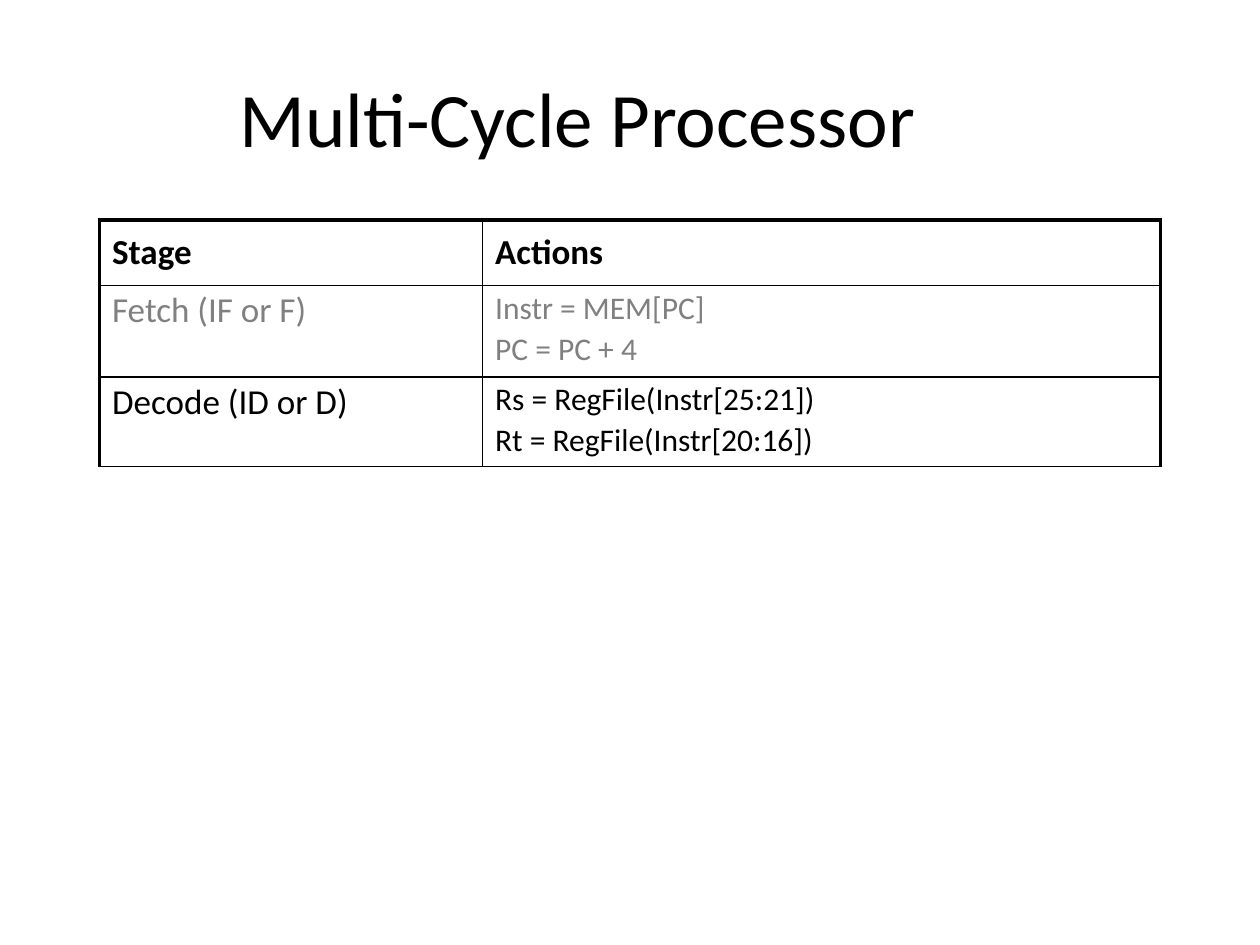
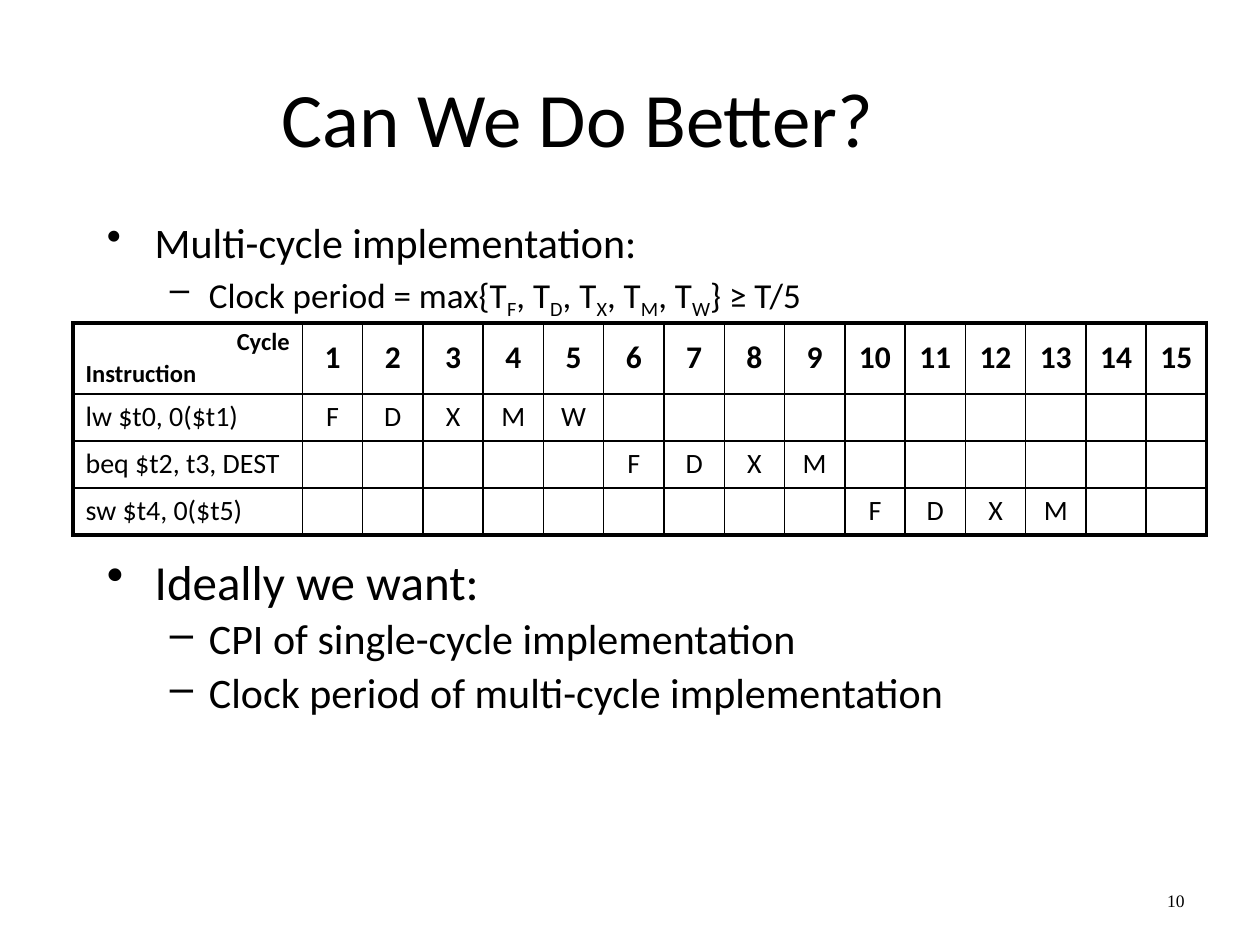
from lxml.etree import SubElement
from pptx import Presentation
from pptx.dml.color import RGBColor
from pptx.enum.text import MSO_ANCHOR, PP_ALIGN
from pptx.oxml.ns import qn
from pptx.util import Emu, Inches, Pt

COLORS = {"text": "000000", "muted": "808080", "paper": "FFFFFF", "rule": "000000"}
FONT = "Calibri"
NUMBER_FONT = "Times New Roman"
WIDTH, HEIGHT = Inches(10), Inches(7.5)
THIN, THICK = Pt(1), Pt(2.25)
STAGES = "FDXMW"
CYCLES = 15

# Bullet style per level: character, text indent, hanging indent, line spacing
BULLETS = [("•", 0.38, 0.38, 0.8), ("–", 0.81, 0.31, 0.9)]


def across(share):
    return Emu(round(WIDTH * share))


def down(share):
    return Emu(round(HEIGHT * share))


# Text
def add_run(paragraph, text, size, color="text", bold=False, font=FONT, subscript=False):
    run = paragraph.add_run()
    run.text = text
    run.font.name = font
    run.font.size = Pt(size)
    run.font.bold = bold
    run.font.color.rgb = RGBColor.from_string(COLORS[color])
    if subscript:
        run.font._element.set("baseline", "-25000")


def next_paragraph(text_frame, index, size, line_spacing=0.9):
    """Return the paragraph at index, spaced by a fifth of its text size."""
    paragraph = text_frame.add_paragraph() if index else text_frame.paragraphs[0]
    paragraph.line_spacing = line_spacing
    paragraph.space_before = Pt(size * 0.2 if index else 0)
    return paragraph


def add_title_slide(presentation, title):
    slide = presentation.slides.add_slide(presentation.slide_layouts[5])
    shape = slide.shapes.title
    shape.left, shape.top = across(0.05), down(0.04)
    shape.width, shape.height = across(0.817), down(0.167)
    shape.text_frame.vertical_anchor = MSO_ANCHOR.MIDDLE
    paragraph = shape.text_frame.paragraphs[0]
    paragraph.alignment = PP_ALIGN.CENTER
    add_run(paragraph, title, 44)
    return slide


def add_text_box(slide, left, top, width, height):
    shape = slide.shapes.add_textbox(across(left), down(top), across(width), down(height))
    shape.text_frame.word_wrap = True
    return shape.text_frame


def add_bullets(slide, top, height, items):
    """Each item is (level, size, [(text, is_subscript), ...])."""
    text_frame = add_text_box(slide, 0.075, top, 0.917, height)
    for index, (level, size, pieces) in enumerate(items):
        character, indent, hanging, spacing = BULLETS[level]
        paragraph = next_paragraph(text_frame, index, size, spacing)
        paragraph.level = level
        properties = paragraph._p.get_or_add_pPr()
        properties.set("marL", str(Inches(indent)))
        properties.set("indent", str(-Inches(hanging)))
        SubElement(properties, qn("a:buChar"), char=character)
        for text, subscript in pieces:
            add_run(paragraph, text, size, subscript=subscript)


def add_slide_number(slide, number):
    text_frame = add_text_box(slide, 0.833, 0.927, 0.117, 0.053)
    text_frame.vertical_anchor = MSO_ANCHOR.MIDDLE
    paragraph = text_frame.paragraphs[0]
    paragraph.alignment = PP_ALIGN.RIGHT
    add_run(paragraph, number, 10, font=NUMBER_FONT)


# Tables
def set_borders(cell, widths):
    properties = cell._tc.get_or_add_tcPr()
    for side, width in zip("LRTB", widths):
        line = SubElement(properties, qn(f"a:ln{side}"), w=str(width))
        fill = SubElement(line, qn("a:solidFill"))
        SubElement(fill, qn("a:srgbClr"), val=COLORS["rule"])


def add_grid(slide, left, top, column_widths, row_heights, bottom=THICK):
    """Add a plain ruled table with a heavy outline."""
    shape = slide.shapes.add_table(
        len(row_heights), len(column_widths), across(left), down(top),
        across(sum(column_widths)), down(sum(row_heights)))
    table = shape.table
    table.first_row = table.horz_banding = False
    for column, width in zip(table.columns, column_widths):
        column.width = across(width)
    for row, height in zip(table.rows, row_heights):
        row.height = down(height)
    last_row, last_column = len(row_heights) - 1, len(column_widths) - 1
    for r, row in enumerate(table.rows):
        for c, cell in enumerate(row.cells):
            set_borders(cell, (THIN if c else THICK,
                               THICK if c == last_column else THIN,
                               THIN if r else THICK,
                               bottom if r == last_row else THIN))
            cell.fill.solid()
            cell.fill.fore_color.rgb = RGBColor.from_string(COLORS["paper"])
    return table


def fill_cell(cell, lines, size, color="text", bold=False,
              alignments=(PP_ALIGN.LEFT,), anchor=MSO_ANCHOR.MIDDLE):
    cell.vertical_anchor = anchor
    for index, line in enumerate(lines):
        paragraph = next_paragraph(cell.text_frame, index, size)
        paragraph.alignment = alignments[index % len(alignments)]
        if line:
            add_run(paragraph, line, size, color, bold)
        else:
            SubElement(paragraph._p, qn("a:endParaRPr"), sz=str(size * 100))


def add_stage_table(slide):
    table = add_grid(slide, 0.079, 0.233, [0.304, 0.538], [0.069, 0.097, 0.095], THIN)
    for column, heading in enumerate(["Stage", "Actions"]):
        fill_cell(table.cell(0, column), [heading], 20, bold=True)
    stages = [
        ("Fetch (IF or F)", ["Instr = MEM[PC]", "PC = PC + 4"], "muted"),
        ("Decode (ID or D)", ["Rs = RegFile(Instr[25:21])", "Rt = RegFile(Instr[20:16])"], "text"),
    ]
    for row, (stage, actions, color) in enumerate(stages, 1):
        fill_cell(table.cell(row, 0), [stage], 20, color, anchor=MSO_ANCHOR.TOP)
        fill_cell(table.cell(row, 1), actions, 18, color, anchor=MSO_ANCHOR.TOP)


def add_cycle_table(slide):
    instruction_width = 0.182
    cycle_width = (0.9 - instruction_width) / CYCLES
    table = add_grid(slide, 0.058, 0.342, [instruction_width] + [cycle_width] * CYCLES,
                     [0.075] + [0.0497] * 3)
    fill_cell(table.cell(0, 0), ["Cycle", "Instruction"], 14, bold=True,
              alignments=(PP_ALIGN.RIGHT, PP_ALIGN.LEFT))
    centered = (PP_ALIGN.CENTER,)
    for cycle in range(1, CYCLES + 1):
        fill_cell(table.cell(0, cycle), [str(cycle)], 18, bold=True, alignments=centered)

    # Each instruction starts in the cycle after the one before it ends
    instructions = [("lw $t0, 0($t1)", 5), ("beq $t2, t3, DEST", 4), ("sw $t4, 0($t5)", 4)]
    start = 1
    for row, (instruction, duration) in enumerate(instructions, 1):
        fill_cell(table.cell(row, 0), [instruction], 16)
        for cycle in range(1, CYCLES + 1):
            active = start <= cycle < start + duration
            stage = STAGES[cycle - start] if active else ""
            fill_cell(table.cell(row, cycle), [stage], 16, alignments=centered)
        start += duration


def main():
    presentation = Presentation()
    presentation.slide_width, presentation.slide_height = WIDTH, HEIGHT

    # Stages and their actions
    slide = add_title_slide(presentation, "Multi-Cycle Processor")
    add_stage_table(slide)

    # Cycle-by-cycle schedule
    slide = add_title_slide(presentation, "Can We Do Better?")
    clock_period = [("Clock period = max{", False)]
    for index, stage in enumerate(STAGES):
        clock_period += [(", T" if index else "T", False), (stage, True)]
    clock_period.append(("} ≥ T/5", False))
    add_bullets(slide, 0.233, 0.244, [
        (0, 24, [("Multi-cycle implementation:", False)]),
        (1, 20, clock_period),
    ])
    add_slide_number(slide, "10")
    add_bullets(slide, 0.589, 0.3, [
        (0, 28, [("Ideally we want:", False)]),
        (1, 24, [("CPI of single-cycle implementation", False)]),
        (1, 24, [("Clock period of multi-cycle implementation", False)]),
    ])
    add_cycle_table(slide)

    presentation.save("out.pptx")


if __name__ == "__main__":
    main()
